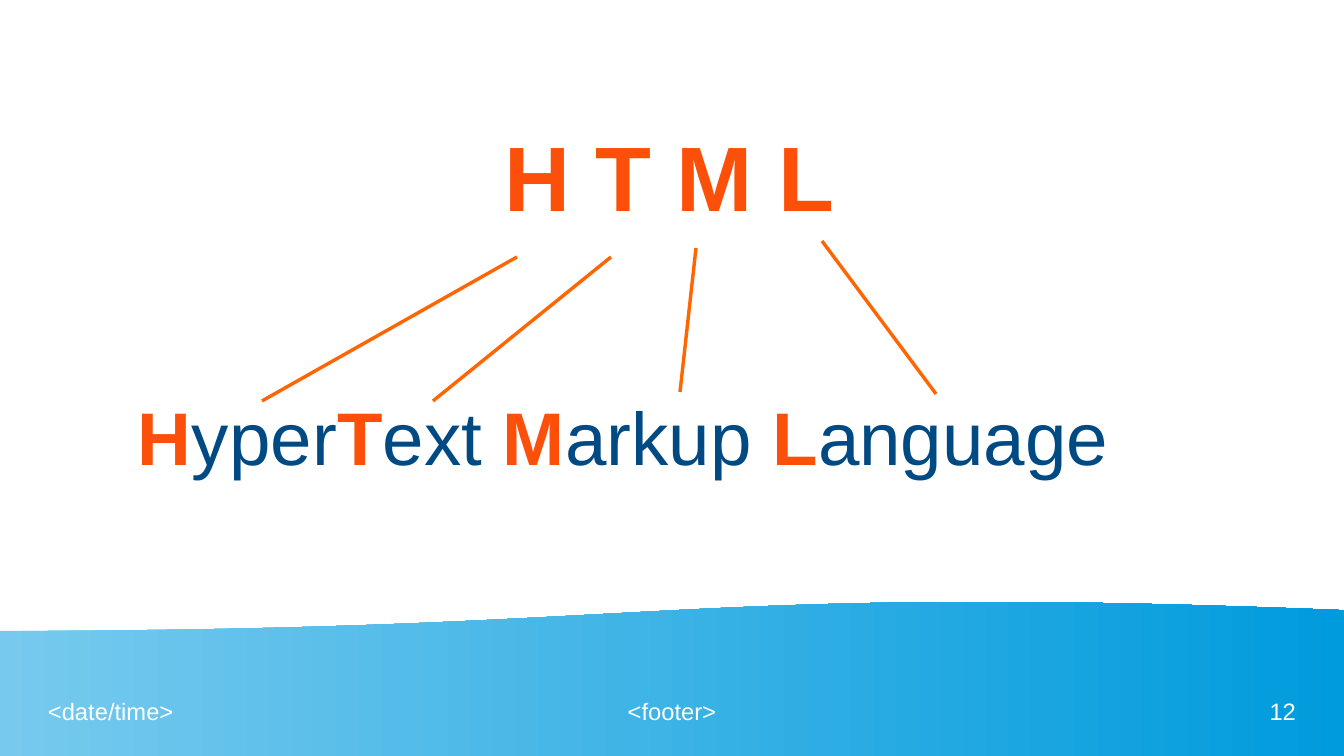
from dataclasses import dataclass

from lxml.etree import SubElement
from pptx import Presentation
from pptx.dml.color import RGBColor
from pptx.enum.shapes import MSO_CONNECTOR, MSO_SHAPE
from pptx.enum.text import MSO_ANCHOR, MSO_AUTO_SIZE, PP_ALIGN
from pptx.oxml.ns import qn
from pptx.util import Pt

PX = 7495  # EMU per px, 122 px to the inch
WIDTH, HEIGHT = 1344, 756

WHITE = RGBColor(0xFF, 0xFF, 0xFF)
ORANGE = RGBColor(0xFC, 0x4F, 0x09)
LINE_ORANGE = RGBColor(0xFF, 0x66, 0x02)
NAVY = RGBColor(0x00, 0x4A, 0x84)
LIGHT_BLUE = RGBColor(0x77, 0xCA, 0xEE)
BLUE = RGBColor(0x00, 0x9B, 0xDD)


@dataclass
class Box:
    x: int
    y: int
    w: int
    h: int

    def emu(self) -> tuple[int, ...]:
        return tuple(v * PX for v in (self.x, self.y, self.w, self.h))


@dataclass
class FooterItem:
    text: str
    box: Box
    align: PP_ALIGN


@dataclass
class LetterLine:
    x1: int
    y1: int
    x2: int
    y2: int


FOOTER = [
    FooterItem("<date/time>", Box(48, 697, 312, 48), PP_ALIGN.LEFT),
    FooterItem("<footer>", Box(456, 697, 432, 48), PP_ALIGN.CENTER),
    FooterItem("12", Box(984, 697, 312, 48), PP_ALIGN.RIGHT),
]
LETTER_LINES = [
    LetterLine(517, 257, 262, 401),
    LetterLine(611, 257, 433, 401),
    LetterLine(696, 248, 680, 392),
    LetterLine(822, 241, 936, 394),
]
# Each word part starts with the letter it gives to the acronym
WORD_PARTS = ["Hyper", "Text ", "Markup ", "Language"]


def format_text(sp, box: Box, size: int, align: PP_ALIGN):
    """Place a text shape and return its formatted first paragraph."""
    sp.left, sp.top, sp.width, sp.height = box.emu()
    tf = sp.text_frame
    tf.word_wrap = True
    tf.auto_size = MSO_AUTO_SIZE.NONE
    tf.vertical_anchor = MSO_ANCHOR.TOP
    tf.margin_left = tf.margin_top = tf.margin_right = tf.margin_bottom = 0
    p = tf.paragraphs[0]
    p.alignment = align
    p.space_before = Pt(0)
    p.font.name = "Arial"
    p.font.size = Pt(size)
    return p


def add_wave(s) -> None:
    sp = s.shapes.add_shape(MSO_SHAPE.FLOWCHART_DOCUMENT,
                            *Box(0, 600, WIDTH, HEIGHT - 600).emu())
    sp.shadow.inherit = False
    sp.line.fill.background()
    sp.fill.gradient()
    sp.fill.gradient_angle = 180
    for stop, color in zip(sp.fill.gradient_stops, (LIGHT_BLUE, BLUE)):
        stop.color.rgb = color
    # Turn the wavy edge to the top
    xfrm = sp._element.spPr.find(qn("a:xfrm"))
    xfrm.set("flipH", "1")
    xfrm.set("flipV", "1")


def add_footer_item(s, item: FooterItem) -> None:
    sp = s.shapes.add_textbox(*item.box.emu())
    p = format_text(sp, item.box, 14, item.align)
    p.font.color.rgb = WHITE
    p.add_run().text = item.text


def add_letter_line(s, line: LetterLine) -> None:
    ends = (v * PX for v in (line.x1, line.y1, line.x2, line.y2))
    sp = s.shapes.add_connector(MSO_CONNECTOR.STRAIGHT, *ends)
    sp.line.color.rgb = LINE_ORANGE
    sp.line.width = Pt(2)
    SubElement(sp._element.spPr, qn("a:effectLst"))


def add_word_part(p, part: str) -> None:
    for text, color, bold in ((part[0], ORANGE, True), (part[1:], NAVY, False)):
        r = p.add_run()
        r.text = text
        r.font.color.rgb = color
        r.font.bold = bold


def main() -> None:
    prs = Presentation()
    prs.slide_width, prs.slide_height = WIDTH * PX, HEIGHT * PX
    s = prs.slides.add_slide(prs.slide_layouts[0])

    # Wave and footer
    add_wave(s)
    for item in FOOTER:
        add_footer_item(s, item)

    # Acronym
    p = format_text(s.shapes.title, Box(504, 120, 393, 121), 54, PP_ALIGN.LEFT)
    p.font.bold = True
    p.font.color.rgb = ORANGE
    p.add_run().text = "H T M L"

    # Full name
    p = format_text(s.placeholders[1], Box(138, 391, 1093, 99), 44, PP_ALIGN.LEFT)
    for part in WORD_PARTS:
        add_word_part(p, part)

    # Lines from the acronym to the words
    for line in LETTER_LINES:
        add_letter_line(s, line)

    prs.save("out.pptx")


if __name__ == "__main__":
    main()
